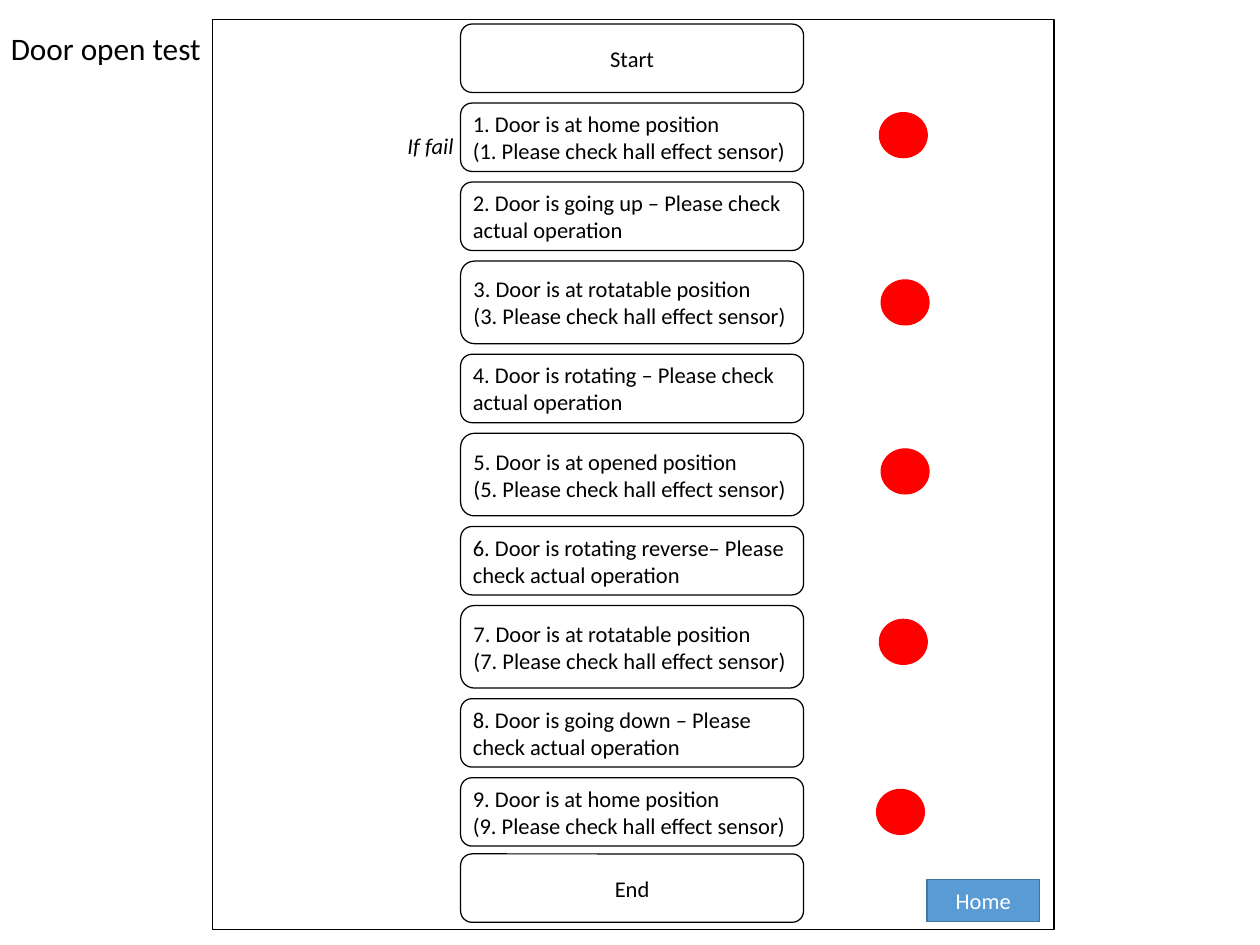
from pptx import Presentation
from pptx.dml.color import RGBColor
from pptx.enum.shapes import MSO_SHAPE
from pptx.enum.text import MSO_ANCHOR, MSO_AUTO_SIZE, PP_ALIGN
from pptx.util import Cm, Pt

RECTANGLE = MSO_SHAPE.RECTANGLE
ROUNDED = MSO_SHAPE.ROUNDED_RECTANGLE
OVAL = MSO_SHAPE.OVAL
LEFT, CENTER = PP_ALIGN.LEFT, PP_ALIGN.CENTER
TOP, MIDDLE = MSO_ANCHOR.TOP, MSO_ANCHOR.MIDDLE
NO_FIT, GROW = MSO_AUTO_SIZE.NONE, MSO_AUTO_SIZE.SHAPE_TO_FIT_TEXT

COLORS = {
    "ink": "000000",
    "white": "FFFFFF",
    "red": "FF0000",
    "blue": "5B9BD5",
    "blue_edge": "43739E",
}

STEP_LEFT, STEP_WIDTH = 13.0, 9.68
STEP_HEIGHT, TALL_HEIGHT, STEP_GAP = 1.93, 2.33, 0.3
FIRST_TOP, END_TOP = 0.68, 24.1
TALL_STEPS = (3, 5, 7)
LAMP_WIDTH, LAMP_HEIGHT = 1.35, 1.27

SENSOR_CHECK = "({}. Please check hall effect sensor)"
STEPS = [
    "Door is at home position",
    "Door is going up – Please check actual operation",
    "Door is at rotatable position",
    "Door is rotating – Please check actual operation",
    "Door is at opened position",
    "Door is rotating reverse– Please check actual operation",
    "Door is at rotatable position",
    "Door is going down – Please check actual operation",
    "Door is at home position",
]
LAMPS = [(24.82, 3.18), (24.87, 7.9), (24.87, 12.67), (24.82, 17.48), (24.74, 22.28)]


class FlowPage:
    font = "Calibri"
    size = 18

    def __init__(self, deck):
        self.page = deck.slides.add_slide(deck.slide_layouts[5])

    def color(self, name):
        return RGBColor.from_string(COLORS[name])

    def add_text(self, box, lines, align=LEFT, anchor=MIDDLE, color="ink",
                 size=size, italic=False):
        frame = box.text_frame
        frame.vertical_anchor = anchor
        for index, line in enumerate(lines):
            para = frame.add_paragraph() if index else frame.paragraphs[0]
            para.alignment = align
            span = para.add_run()
            span.text = line
            span.font.name = self.font
            span.font.size = Pt(size)
            span.font.italic = italic
            span.font.color.rgb = self.color(color)

    def shape(self, kind, left, top, width, height, fill=None, line="ink"):
        box = self.page.shapes.add_shape(
            kind, Cm(left), Cm(top), Cm(width), Cm(height))
        box.shadow.inherit = False
        if fill:
            box.fill.solid()
            box.fill.fore_color.rgb = self.color(fill)
        else:
            box.fill.background()
        box.line.color.rgb = self.color(line)
        box.line.width = Pt(1)
        return box

    def title(self, text, left, top, width, height):
        box = self.page.shapes.title
        box.left, box.top = Cm(left), Cm(top)
        box.width, box.height = Cm(width), Cm(height)
        box.text_frame.word_wrap = False
        box.text_frame.auto_size = NO_FIT
        self.add_text(box, [text], anchor=TOP, size=25)

    def step(self, lines, top, height=STEP_HEIGHT, align=LEFT):
        box = self.shape(ROUNDED, STEP_LEFT, top, STEP_WIDTH, height)
        self.add_text(box, lines, align)

    def button(self, text, left, top, width, height):
        box = self.shape(RECTANGLE, left, top, width, height, "blue", "blue_edge")
        self.add_text(box, [text], CENTER, color="white")

    def note(self, text, left, top, width, height):
        box = self.page.shapes.add_textbox(Cm(left), Cm(top), Cm(width), Cm(height))
        box.text_frame.word_wrap = False
        box.text_frame.auto_size = GROW
        self.add_text(box, [text], anchor=TOP, italic=True)

    def lamp(self, left, top):
        self.shape(OVAL, left, top, LAMP_WIDTH, LAMP_HEIGHT, "red", "red")


def main():
    deck = Presentation()
    deck.slide_width, deck.slide_height = Cm(35.56), Cm(26.67)
    flow = FlowPage(deck)
    flow.title("Door open test", 0.05, 0.69, 5.92, 1.32)
    flow.shape(RECTANGLE, 6.0, 0.56, 23.75, 25.68)

    flow.step(["Start"], FIRST_TOP, align=CENTER)
    top = FIRST_TOP + STEP_HEIGHT + STEP_GAP
    for number, action in enumerate(STEPS, 1):
        lines = [f"{number}. {action}"]
        if number % 2:
            lines.append(SENSOR_CHECK.format(number))
        height = TALL_HEIGHT if number in TALL_STEPS else STEP_HEIGHT
        flow.step(lines, top, height)
        top += height + STEP_GAP
    flow.step(["End"], END_TOP, align=CENTER)

    flow.button("Home", 26.16, 24.82, 3.18, 1.19)
    flow.note("If fail", 11.25, 3.61, 1.98, 1.02)
    for left, lamp_top in LAMPS:
        flow.lamp(left, lamp_top)
    deck.save("out.pptx")


if __name__ == "__main__":
    main()
